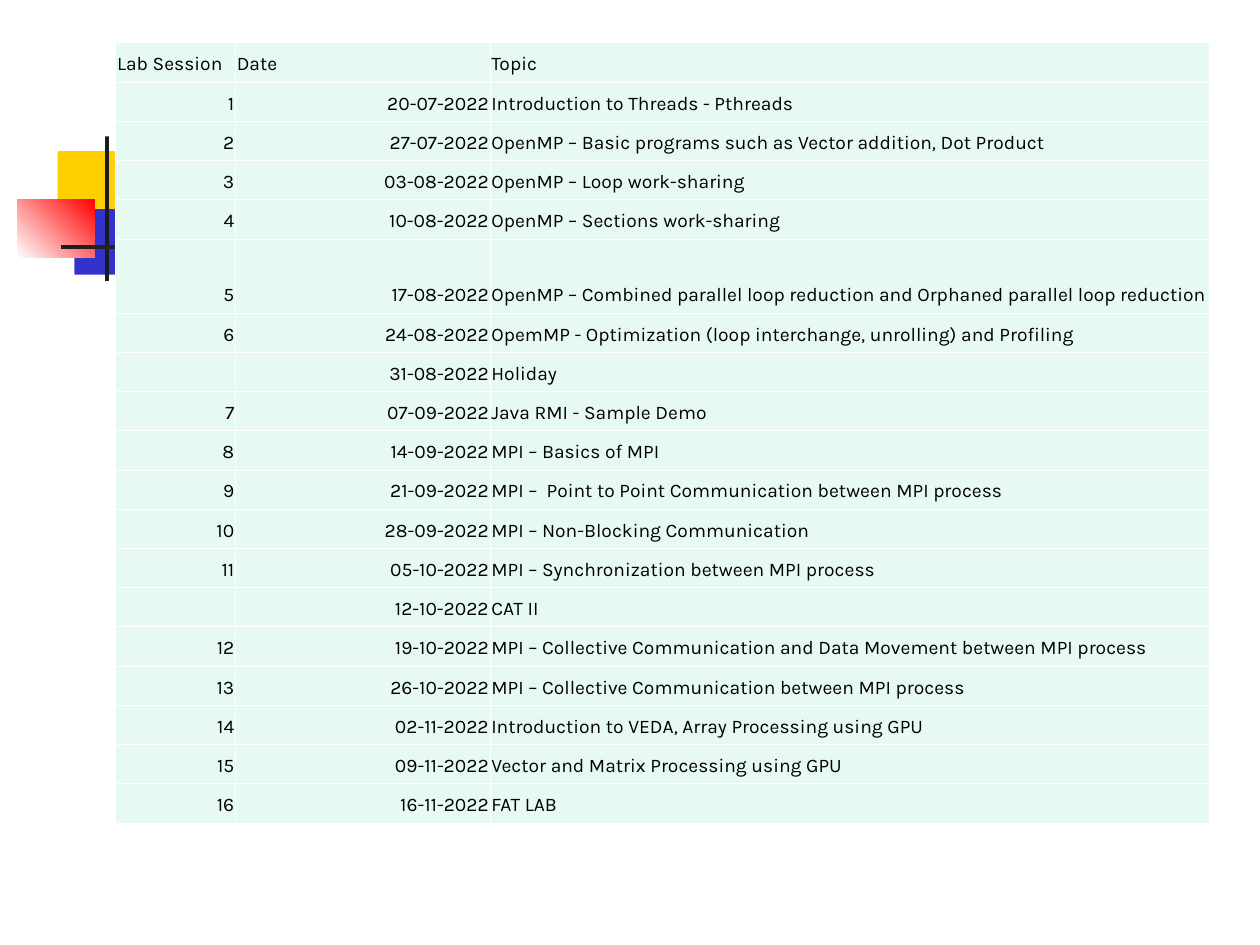
from lxml.etree import SubElement
from pptx import Presentation
from pptx.dml.color import RGBColor
from pptx.enum.shapes import MSO_SHAPE as Shape
from pptx.enum.text import MSO_ANCHOR as Anchor, PP_ALIGN as Align
from pptx.oxml.ns import qn
from pptx.util import Pt


def rgb(color):
    return RGBColor.from_string(color)


def write(cell, text, size=11, font="Karla", color="000000", align=Align.LEFT):
    paragraph = cell.text_frame.paragraphs[0]
    paragraph.alignment = align
    if not text:
        SubElement(paragraph._p, qn("a:endParaRPr"), sz=str(size * 100))
        return
    run = paragraph.add_run()
    run.text = text
    run.font.size = Pt(size)
    run.font.name = font
    run.font.color.rgb = rgb(color)


deck = Presentation()
deck.slide_width, deck.slide_height = Pt(720), Pt(540)
slide = deck.slides.add_slide(deck.slide_layouts[6])

ornaments = [
    (33, 86.4, 34.6, 37.4, ["FFCF01"], 0),
    (63.4, 86.4, 25.9, 37.4, ["FFCF01", "FFFFFF"], 0),
    (42.5, 119.5, 33.1, 37.4, ["3333CC"], 0),
    (10, 113.8, 44.2, 33.2, ["FFFFFF", "FF0000"], 45),
    (60, 78, 2.3, 82.5, ["1C1C1C"], 0),
    (34.8, 140, 648, 2.5, ["1C1C1C", "FFFFFF"], 0),
]
for left, top, width, height, colors, angle in ornaments:
    ornament = slide.shapes.add_shape(
        Shape.RECTANGLE, Pt(left), Pt(top), Pt(width), Pt(height))
    ornament.shadow.inherit = False
    ornament.line.fill.background()
    if len(colors) == 1:
        ornament.fill.solid()
        ornament.fill.fore_color.rgb = rgb(colors[0])
    else:
        ornament.fill.gradient()
        ornament.fill.gradient_angle = angle
        for stop, color in zip(ornament.fill.gradient_stops, colors):
            stop.color.rgb = rgb(color)

sessions = [
    ("Lab Session", "Date", "Topic"),
    ("1", "20-07-2022", "Introduction to Threads - Pthreads"),
    ("2", "27-07-2022", "OpenMP – Basic programs such as Vector addition, Dot Product"),
    ("3", "03-08-2022", "OpenMP – Loop work-sharing"),
    ("4", "10-08-2022", "OpenMP – Sections work-sharing"),
    ("5", "17-08-2022", "OpenMP – Combined parallel loop reduction and Orphaned parallel loop reduction"),
    ("6", "24-08-2022", "OpemMP - Optimization (loop interchange, unrolling) and Profiling"),
    ("", "31-08-2022", "Holiday"),
    ("7", "07-09-2022", "Java RMI - Sample Demo"),
    ("8", "14-09-2022", "MPI – Basics of MPI"),
    ("9", "21-09-2022", "MPI –  Point to Point Communication between MPI process"),
    ("10", "28-09-2022", "MPI – Non-Blocking Communication"),
    ("11", "05-10-2022", "MPI – Synchronization between MPI process"),
    ("", "12-10-2022", "CAT II"),
    ("12", "19-10-2022", "MPI – Collective Communication and Data Movement between MPI process"),
    ("13", "26-10-2022", "MPI – Collective Communication between MPI process"),
    ("14", "02-11-2022", "Introduction to VEDA, Array Processing using GPU"),
    ("15", "09-11-2022", "Vector and Matrix Processing using GPU"),
    ("16", "16-11-2022", "FAT LAB"),
]
column_widths = [68.4, 145.5, 411.1]
row_heights = [42.3 if session[0] == "5" else 22.43 for session in sessions]

schedule = slide.shapes.add_table(
    len(sessions), len(column_widths), Pt(66.2), Pt(24.4),
    Pt(sum(column_widths)), Pt(sum(row_heights))).table
schedule.first_row = schedule.horz_banding = False
for column, width in zip(schedule.columns, column_widths):
    column.width = Pt(width)

for row_index, session in enumerate(sessions):
    schedule.rows[row_index].height = Pt(row_heights[row_index])
    for column_index, text in enumerate(session):
        cell = schedule.cell(row_index, column_index)
        cell.vertical_anchor = Anchor.BOTTOM
        cell.margin_left = cell.margin_right = Pt(0.72)
        cell.margin_top = cell.margin_bottom = Pt(3.6)
        properties = cell._tc.get_or_add_tcPr()
        for side in ("lnL", "lnR", "lnT", "lnB"):
            border = SubElement(properties, qn(f"a:{side}"), w=str(Pt(0.45)))
            border_fill = SubElement(border, qn("a:solidFill"))
            SubElement(border_fill, qn("a:srgbClr"), val="FFFFFF")
        cell.fill.solid()
        cell.fill.fore_color.rgb = rgb("E7FAF1")
        is_number = row_index > 0 and column_index < 2
        write(cell, text, align=Align.RIGHT if is_number else Align.LEFT)

deck.save("out.pptx")
